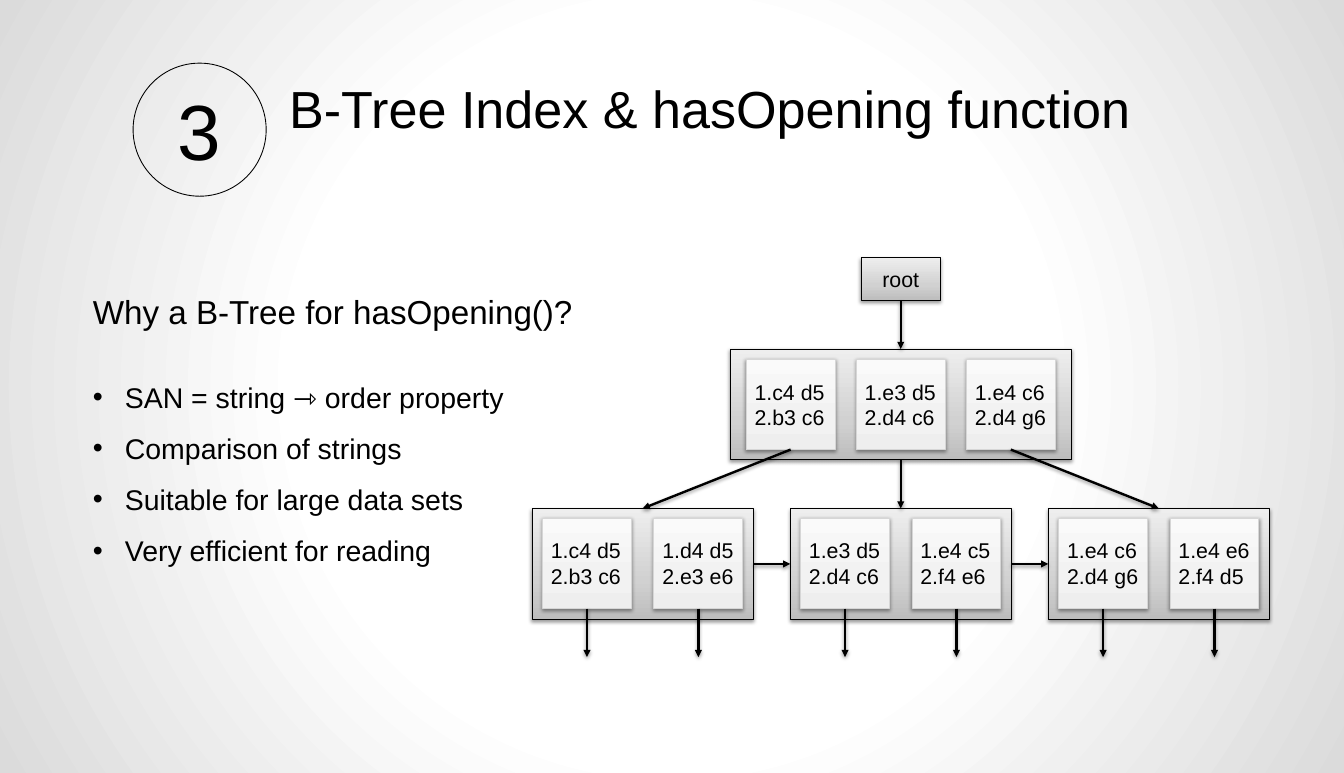
from pptx import Presentation, util as u
from pptx.dml.color import RGBColor
from pptx.enum import shapes, text
from pptx.oxml import parse_xml
from pptx.oxml.ns import nsdecls

Pt = u.Pt
rgb = RGBColor.from_string
SHAPE, ALIGN, ANCHOR = shapes.MSO_SHAPE, text.PP_ALIGN, text.MSO_ANCHOR
SHADOW = (
    f'<a:effectLst {nsdecls("a")}><a:outerShdw blurRad="40000" dist="20000" dir="5400000" '
    'rotWithShape="0"><a:srgbClr val="000000"><a:alpha val="38000"/></a:srgbClr>'
    '</a:outerShdw></a:effectLst>'
)
DARK = [(0, "BDBDBD"), (35, "D1D1D1"), (100, "EEEEEE")]
LIGHT = [(0, "EEEEEE"), (35, "F2F2F2"), (100, "FAFAFA")]
UPWARD = '<a:lin ang="16200000" scaled="0"/>'


def gradient(stops, shade):
    gs = "".join(
        f'<a:gs pos="{pos * 1000}"><a:srgbClr val="{color}"/></a:gs>' for pos, color in stops
    )
    return f'<a:gradFill {nsdecls("a")} rotWithShape="1"><a:gsLst>{gs}</a:gsLst>{shade}</a:gradFill>'


def write(sp, lines, size, align=ALIGN.LEFT, anchor=ANCHOR.TOP, **margins):
    tf = sp.text_frame
    frame_format = {"word_wrap": True, "vertical_anchor": anchor, **margins}
    for name, value in frame_format.items():
        setattr(tf, name, value)
    for i, line in enumerate(lines):
        p = tf.paragraphs[0] if i == 0 else tf.add_paragraph()
        p.alignment = align
        r = p.add_run()
        r.text = line
        for name, value in {"size": Pt(size), "name": "Arial"}.items():
            setattr(r.font, name, value)
        r.font.color.rgb = rgb("000000")
    return tf


prs = Presentation()
prs.slide_width, prs.slide_height = Pt(1134), Pt(652.32)
s = prs.slides.add_slide(prs.slide_layouts[6])
center = (
    '<a:path path="circle"><a:fillToRect l="50000" t="50000" r="50000" b="50000"/></a:path>'
)
backdrop = gradient([(0, "FFFFFF"), (48, "FFFFFF"), (100, "DBDBDB")], center)
s._element.cSld.insert(
    0, parse_xml(f'<p:bg {nsdecls("p", "a")}><p:bgPr>{backdrop}<a:effectLst/></p:bgPr></p:bg>')
)

badge = s.shapes.add_shape(SHAPE.OVAL, Pt(112.3), Pt(53.3), Pt(112.3), Pt(112.3))
badge.shadow.inherit = False
badge.fill.background()
badge.line.color.rgb = rgb("000000")
badge.line.width = Pt(0.75)
no_margins = dict.fromkeys(["margin_left", "margin_right", "margin_top", "margin_bottom"], 0)
write(badge, ["3"], 66, ALIGN.CENTER, ANCHOR.MIDDLE, **no_margins)

title = s.shapes.add_textbox(Pt(188.6), Pt(53.3), Pt(821.5), Pt(123))
write(title, ["B-Tree Index & hasOpening function"], 44, ALIGN.CENTER, margin_top=Pt(11.5))

question = s.shapes.add_textbox(Pt(71.3), Pt(242), Pt(425), Pt(41))
write(question, ["Why a B-Tree for hasOpening()?"], 28)

reasons = s.shapes.add_textbox(Pt(71.3), Pt(302.4), Pt(368), Pt(176.4))
tf = write(
    reasons,
    [
        "SAN = string ⇾ order property",
        "Comparison of strings",
        "Suitable for large data sets",
        "Very efficient for reading",
    ],
    24,
)
for p in tf.paragraphs:
    p.line_spacing = 1.5
    pPr = p._p.get_or_add_pPr()
    pPr.set("marL", str(Pt(27)))
    pPr.set("indent", str(-Pt(27)))
    pPr.append(parse_xml(f'<a:buFont {nsdecls("a")} typeface="Arial"/>'))
    pPr.append(parse_xml(f'<a:buChar {nsdecls("a")} char="•"/>'))

MID, PITCH = 760, 217.75
LEAF_W, NODE_H, CARD_W, CARD_H = 186.5, 93.6, 75, 76.3
leaf_cards = [
    ["1.c4 d5|2.b3 c6", "1.d4 d5|2.e3 e6"],
    ["1.e3 d5|2.d4 c6", "1.e4 c5|2.f4 e6"],
    ["1.e4 c6|2.d4 g6", "1.e4 e6|2.f4 d5"],
]
branch_cards = ["1.c4 d5|2.b3 c6", "1.e3 d5|2.d4 c6", "1.e4 c6|2.d4 g6"]

boxes = [
    ("root", MID, 217.4, 67, 36, DARK, "root"),
    ("branch", MID, 294.5, 288, NODE_H, DARK, ""),
]
for i, label in enumerate(branch_cards):
    boxes.append((("branch", i), MID + (i - 1) * 92.9, 303.1, CARD_W, CARD_H, LIGHT, label))
for i, labels in enumerate(leaf_cards):
    mid = MID + (i - 1) * PITCH
    boxes.append((("leaf", i), mid, 429.1, LEAF_W, NODE_H, DARK, ""))
    for j, label in enumerate(labels):
        boxes.append((("card", i, j), mid + (j - 0.5) * 94, 437.2, CARD_W, CARD_H, LIGHT, label))

nodes = {}
for key, mid, top, width, height, stops, label in boxes:
    sp = s.shapes.add_shape(
        SHAPE.RECTANGLE, Pt(mid - width / 2), Pt(top), Pt(width), Pt(height)
    )
    sp.line.color.rgb = rgb("000000" if stops is DARK else "D6D6D6")
    sp.line.width = Pt(0.75)
    spPr = sp._element.spPr
    spPr.insert(2, parse_xml(gradient(stops, UPWARD)))
    spPr.append(parse_xml(SHADOW))
    if label:
        align = ALIGN.CENTER if key == "root" else ALIGN.LEFT
        write(sp, label.split("|"), 18, align, ANCHOR.MIDDLE)
    nodes[key] = sp

TOP, LEFT, BOTTOM, RIGHT = range(4)
links = [
    ("root", BOTTOM, "branch", TOP),
    ("branch", BOTTOM, ("leaf", 1), TOP),
    (("branch", 0), BOTTOM, ("leaf", 0), TOP),
    (("branch", 2), BOTTOM, ("leaf", 2), TOP),
    (("leaf", 0), RIGHT, ("leaf", 1), LEFT),
    (("leaf", 1), RIGHT, ("leaf", 2), LEFT),
]
links += [(("card", i, j), BOTTOM, None, None) for i in range(3) for j in range(2)]
for start, start_side, end, end_side in links:
    sp = nodes[start]
    x, y = sp.left + sp.width // 2, sp.top + sp.height
    cxn = s.shapes.add_connector(shapes.MSO_CONNECTOR.STRAIGHT, x, y, x, y + Pt(41))
    cxn.begin_connect(sp, start_side)
    if end:
        cxn.end_connect(nodes[end], end_side)
    cxn.line.color.rgb = rgb("000000")
    cxn.line.width = Pt(2)
    cxn.line._get_or_add_ln().append(parse_xml(f'<a:tailEnd {nsdecls("a")} type="triangle"/>'))
    cxn._element.spPr.append(parse_xml(SHADOW))

prs.save("out.pptx")
